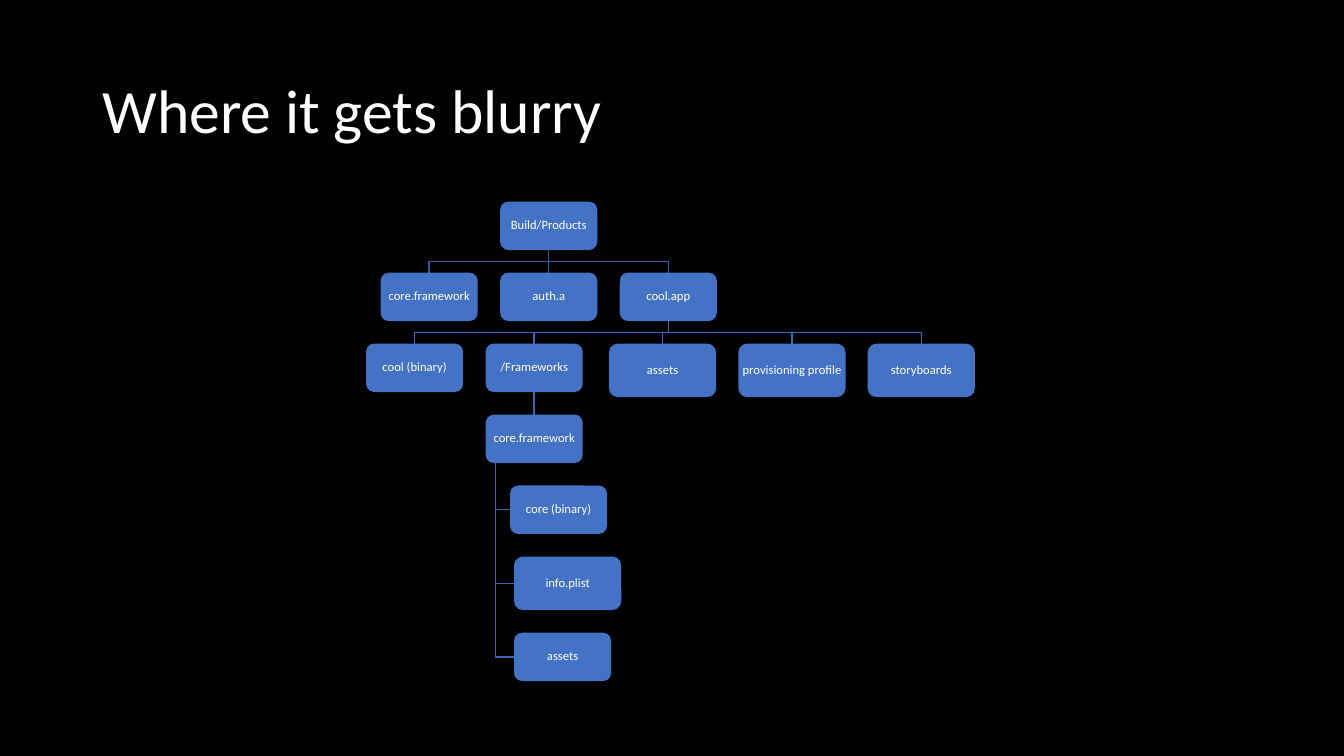
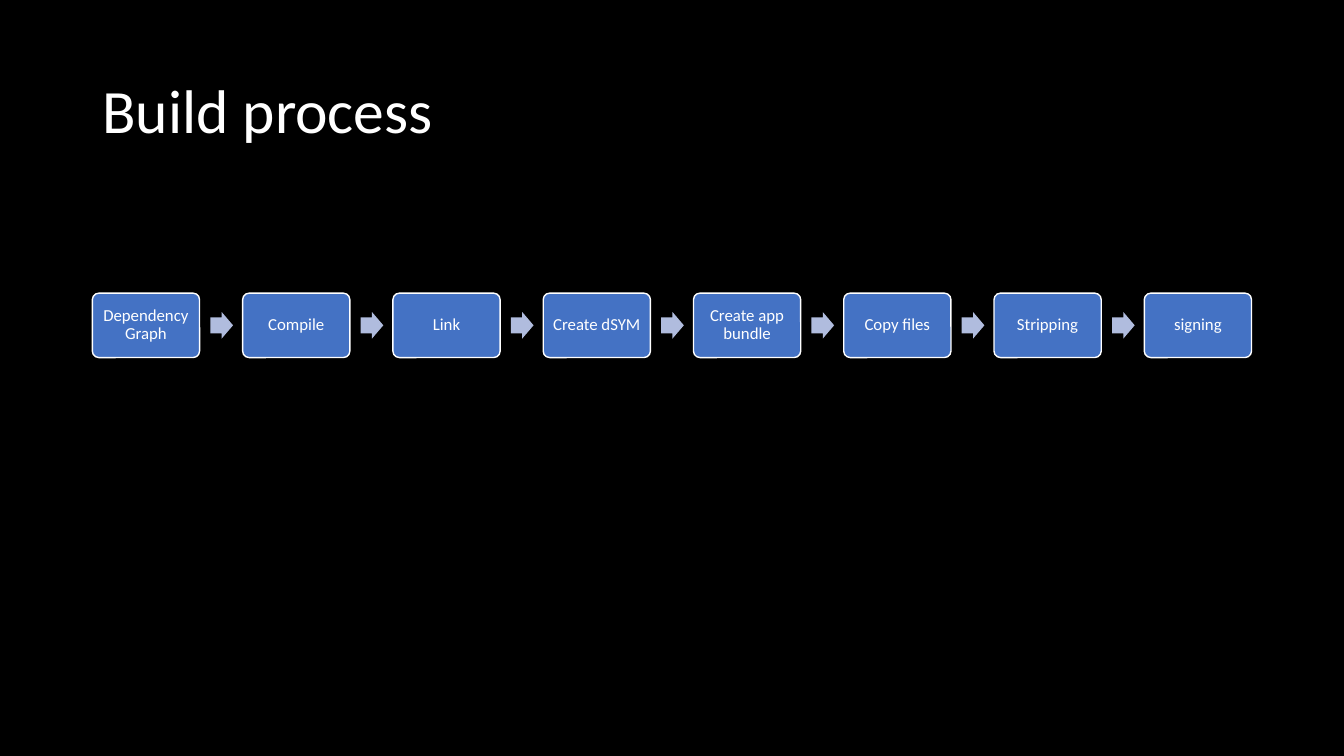
from itertools import accumulate

from lxml.etree import SubElement
from pptx import Presentation
from pptx.dml.color import RGBColor
from pptx.enum.shapes import MSO_CONNECTOR, MSO_SHAPE
from pptx.enum.text import MSO_ANCHOR, PP_ALIGN
from pptx.oxml.ns import qn
from pptx.util import Pt

COLORS = {
    "back": "000000",
    "text": "FFFFFF",
    "box": "4472C4",
    "arrow": "B0BCDE",
    "trunk": "365B9D",
    "branch": "3E67B2",
}
FONT = "Calibri"
TITLE = (66, 28.75, 828, 104.4)
SMALL, LARGE = (69.3, 34.6), (76.6, 38.3)
GAP = 16.1
TOPS = [0, *accumulate([SMALL[1] + GAP] * 5 + [LARGE[1] + GAP])]

# name, left, row, size, parent
NODES = [
    ("Build/Products", 95.8, 0, SMALL, None),
    ("core.framework", 10.4, 1, SMALL, 0),
    ("auth.a", 95.8, 1, SMALL, 0),
    ("cool.app", 181.2, 1, SMALL, 0),
    ("cool (binary)", 0, 2, SMALL, 3),
    ("/Frameworks", 85.4, 2, SMALL, 3),
    ("assets", 173.5, 2, LARGE, 3),
    ("provisioning profile", 265.9, 2, LARGE, 3),
    ("storyboards", 358.3, 2, LARGE, 3),
    ("core.framework", 85.4, 3, SMALL, 5),
    ("core (binary)", 102.8, 4, SMALL, 9),
    ("info.plist", 105.7, 5, LARGE, 9),
    ("assets", 105.7, 6, SMALL, 9),
]
HUNG = 9
STEPS = ["Dependency Graph", "Compile", "Link", "Create dSYM",
         "Create app bundle", "Copy files", "Stripping", "signing"]


def color(name):
    """Return a palette colour."""
    return RGBColor.from_string(COLORS[name])


def style(frame, text, size, align):
    """Fill a text frame with one middle-anchored paragraph."""
    frame.text = text
    frame.word_wrap = True
    frame.vertical_anchor = MSO_ANCHOR.MIDDLE
    para = frame.paragraphs[0]
    para.alignment = align
    para.line_spacing = 0.9
    para.font.name = FONT
    para.font.size = Pt(size)
    para.font.color.rgb = color("text")


def add_page(deck, text):
    """Add a slide with its title."""
    page = deck.slides.add_slide(deck.slide_layouts[5])
    title = page.shapes.title
    title.left, title.top, title.width, title.height = map(Pt, TITLE)
    style(title.text_frame, text, 44, PP_ALIGN.LEFT)
    return page


def add_block(page, kind, box, fill):
    """Add a flat shape without an outline."""
    shape = page.shapes.add_shape(kind, *map(Pt, box))
    shape.shadow.inherit = False
    shape.fill.solid()
    shape.fill.fore_color.rgb = color(fill)
    shape.line.fill.background()
    return shape


def add_label(page, box, text, size, inset):
    """Add a rounded box with centred text."""
    shape = add_block(page, MSO_SHAPE.ROUNDED_RECTANGLE, box, "box")
    frame = shape.text_frame
    frame.margin_left = frame.margin_right = Pt(inset)
    frame.margin_top = frame.margin_bottom = Pt(inset)
    style(frame, text, size, PP_ALIGN.CENTER)
    return shape


def add_link(page, points, tone):
    """Draw a straight or bent line through the points."""
    spots = [(Pt(x), Pt(y)) for x, y in points]
    if len(spots) == 2:
        line = page.shapes.add_connector(
            MSO_CONNECTOR.STRAIGHT, *spots[0], *spots[1])
    else:
        pen = page.shapes.build_freeform(*spots[0])
        pen.add_line_segments(spots[1:], close=False)
        line = pen.convert_to_shape()
        line.fill.background()
        line.shadow.inherit = False
    line.line.color.rgb = color(tone)
    line.line.width = Pt(1)
    if len(spots) == 2:
        SubElement(line._element.spPr, qn("a:effectLst"))


def route(top, low, hung):
    """Return the points that join a parent box to a child box."""
    x, y, w, h = top
    left, head, wide, high = low
    if hung:
        stem, mid = x + w / 10, head + high / 2
        return [(stem, y + h), (stem, mid), (left, mid)]
    start, end = x + w / 2, left + wide / 2
    if abs(start - end) < 0.1:
        return [(start, y + h), (start, head)]
    mid = (y + h + head) / 2
    return [(start, y + h), (start, mid), (end, mid), (end, head)]


def draw_tree(page, left, top):
    """Draw the build products tree from its top left corner."""
    boxes = [(left + x, top + TOPS[row], *size)
             for _, x, row, size, _ in NODES]
    for box, (*_, root) in reversed(list(zip(boxes, NODES))):
        if root is not None:
            tone = "branch" if root else "trunk"
            add_link(page, route(boxes[root], box, root == HUNG), tone)
    for box, (name, *_) in zip(boxes, NODES):
        add_label(page, box, name, 9, 0)


def draw_flow(page, left, top, width, height):
    """Draw the build steps with arrows across the given box."""
    wide = 76.6
    pitch = (width - wide) / (len(STEPS) - 1)
    long, high = 16.2, 19
    for num, name in enumerate(STEPS):
        x = left + num * pitch
        card = add_label(page, (x, top, wide, height), name, 12, 3.6)
        card.adjustments[0] = 0.1
        card.line.color.rgb = color("text")
        card.line.width = Pt(1)
        if num < len(STEPS) - 1:
            box = (x + wide * 1.1, top + (height - high) / 2, long, high)
            arrow = add_block(page, MSO_SHAPE.RIGHT_ARROW, box, "arrow")
            arrow.adjustments[0] = 0.6


def main():
    """Build and save the deck."""
    deck = Presentation()
    deck.slide_width, deck.slide_height = Pt(960), Pt(540)
    back = deck.slide_master.background.fill
    back.solid()
    back.fore_color.rgb = color("back")
    draw_tree(add_page(deck, "Where it gets blurry"), 261.5, 144)
    draw_flow(add_page(deck, "Build process"), 66, 209.4, 828, 46)
    deck.save("out.pptx")


if __name__ == "__main__":
    main()
